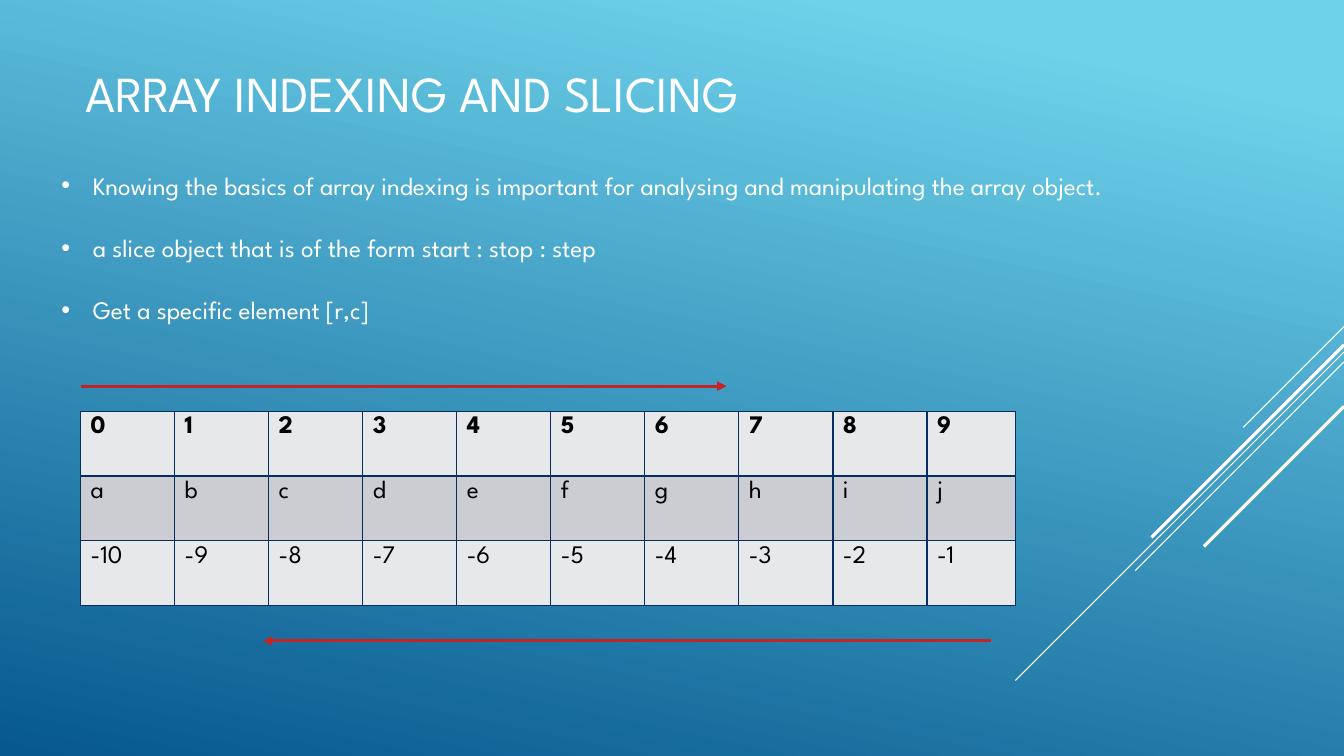
import collections
import dataclasses

import lxml.etree
import pptx
import pptx.dml.color
import pptx.enum.shapes
import pptx.enum.text
import pptx.oxml.ns
import pptx.util

Cm = pptx.util.Cm
Pt = pptx.util.Pt
Box = collections.namedtuple("Box", "left top width height")


@dataclasses.dataclass(frozen=True)
class Theme:
    """Colours, font and sizes of the deck."""
    font: str = "League Spartan"
    light: str = "FFFFFF"
    ink: str = "000000"
    sky: str = "6ED2EB"
    sea: str = "06588E"
    arrow: str = "C62324"
    border: str = "052F61"
    bands: tuple = ("E7E8EA", "CCCDD2")
    title_size: int = 36
    body_size: int = 18
    thin: float = 0.75
    thick: float = 2.25
    grid: float = 1


THEME = Theme()


def rgb(code):
    """Turn a hex code into a colour."""
    return pptx.dml.color.RGBColor.from_string(code)


def add_xml(parent, tag, **values):
    """Append a drawing element with the given attributes."""
    return lxml.etree.SubElement(parent, pptx.oxml.ns.qn(tag), values)


def set_values(target, values):
    """Set attributes from a dict of format values."""
    for name, value in values.items():
        setattr(target, name, value)


def write(para, text, size, color, bold=False):
    """Add one formatted span to a paragraph."""
    span = para.add_run()
    span.text = text
    set_values(span.font, {"name": THEME.font, "size": Pt(size), "bold": bold})
    span.font.color.rgb = rgb(color)


def add_frame(page, box, anchor):
    """Add a wrapping text box and return its text frame."""
    frame = page.shapes.add_textbox(*map(Cm, box)).text_frame
    set_values(frame, {"word_wrap": True, "vertical_anchor": anchor})
    return frame


def add_line(page, start, end, color, width, arrow=False):
    """Draw a straight line, with an arrowhead at its end if asked."""
    line = page.shapes.add_connector(
        pptx.enum.shapes.MSO_CONNECTOR.STRAIGHT, *map(Cm, start + end))
    line.line.color.rgb = rgb(color)
    line.line.width = Pt(width)
    if arrow:
        add_xml(line.line._get_or_add_ln(), "a:tailEnd", type="triangle")
    add_xml(line._element.spPr, "a:effectLst")


def paint_background(page):
    """Fill the page with the slanted blue gradient."""
    fill = page.background.fill
    fill.gradient()
    fill.gradient_angle = 258
    stops = ((0.1, THEME.sky), (1, THEME.sea))
    for stop, (position, color) in zip(fill.gradient_stops, stops):
        stop.position = position
        stop.color.rgb = rgb(color)


def add_stripes(page, box):
    """Draw 45-degree stripes that run down from the box's right edge."""
    right = box.left + box.width
    stripes = ((0, 2.54, THEME.thin), (0.64, box.width, THEME.thin),
               (0.89, 5.26, THEME.thin), (0.46, 4.85, THEME.thick),
               (2.01, 3.53, THEME.thick))
    for drop, reach, width in stripes:
        top = box.top + drop
        add_line(page, (right, top), (right - reach, top + reach),
                 THEME.light, width)


def add_title(page, box, text):
    """Place the heading, centred vertically in its box."""
    frame = add_frame(page, box, pptx.enum.text.MSO_ANCHOR.MIDDLE)
    write(frame.paragraphs[0], text, THEME.title_size, THEME.light)


def add_bullets(page, box, lines):
    """Place a bulleted list with hanging indents."""
    frame = add_frame(page, box, pptx.enum.text.MSO_ANCHOR.TOP)
    for number, text in enumerate(lines):
        para = frame.add_paragraph() if number else frame.paragraphs[0]
        set_values(para, {"line_spacing": 1.5, "space_before": Pt(6),
                          "space_after": Pt(6)})
        props = para._p.get_or_add_pPr()
        props.set("marL", str(Cm(0.79)))
        props.set("indent", str(-Cm(0.79)))
        add_xml(props, "a:buFont", typeface="Arial")
        add_xml(props, "a:buChar", char="•")
        write(para, text, THEME.body_size, THEME.light)


def add_borders(cell):
    """Draw the four borders of a table cell."""
    props = cell._tc.get_or_add_tcPr()
    for side in ("a:lnL", "a:lnR", "a:lnT", "a:lnB"):
        edge = add_xml(props, side, w=str(Pt(THEME.grid)))
        add_xml(add_xml(edge, "a:solidFill"), "a:srgbClr", val=THEME.border)


def add_index_table(page, box, rows):
    """Show the elements between their positive and negative indices."""
    count = len(rows[0])
    table = page.shapes.add_table(len(rows), count, *map(Cm, box)).table
    set_values(table, {"first_row": False, "horz_banding": False})
    column_width = 2.37
    for column in table.columns:
        column.width = Cm(column_width)
    table.columns[count - 1].width = Cm(box.width - column_width * (count - 1))
    for r, values in enumerate(rows):
        for c, value in enumerate(values):
            cell = table.cell(r, c)
            add_borders(cell)
            cell.fill.solid()
            cell.fill.fore_color.rgb = rgb(THEME.bands[r % 2])
            write(cell.text_frame.paragraphs[0], value, THEME.body_size,
                  THEME.ink, bold=r == 0)


def add_direction_arrows(page, box):
    """Draw the forward arrow above the table and the backward one below."""
    bottom = box.top + box.height
    spans = ((box.top - 0.63, 0, 16.28), (bottom + 0.89, 22.94, 4.6))
    for height, start, end in spans:
        add_line(page, (box.left + start, height), (box.left + end, height),
                 THEME.arrow, THEME.thick, arrow=True)


def build_slicing_page(page, box):
    """Lay out the array indexing page inside the given box."""
    def inside(left, top, width, height):
        return Box(box.left + left, box.top + top, width, height)

    paint_background(page)
    add_stripes(page, inside(box.width - 8.28, 8.23, 8.28, 8.92))
    add_title(page, inside(1.9, 0.89, 23.7, 2.9), "ARRAY INDEXING AND SLICING")
    table_box = inside(2.03, 10.36, 23.57, 4.9)
    letters = "abcdefghij"
    count = len(letters)
    add_index_table(page, table_box, [
        [str(index) for index in range(count)],
        list(letters),
        [str(index) for index in range(-count, 0)],
    ])
    add_bullets(page, inside(1.3, 3.78, 31.29, 6.71), [
        "Knowing the basics of array indexing is important for analysing "
        "and manipulating the array object.",
        "a slice object that is of the form start : stop : step",
        "Get a specific element [r,c]",
    ])
    add_direction_arrows(page, table_box)


deck = pptx.Presentation()
page_box = Box(0, 0, 33.87, 19.05)
set_values(deck, {"slide_width": Cm(page_box.width),
                  "slide_height": Cm(page_box.height)})
build_slicing_page(deck.slides.add_slide(deck.slide_layouts[6]), page_box)
deck.save("out.pptx")
